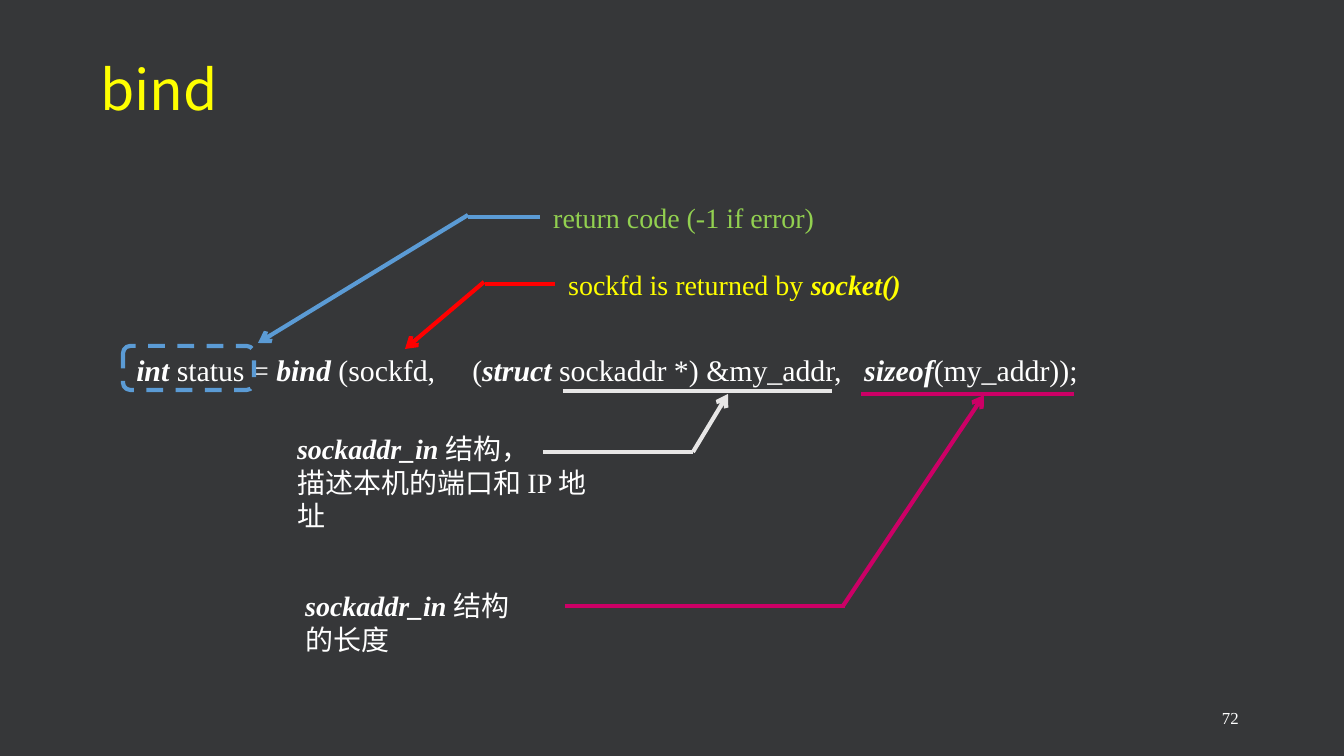
from collections import namedtuple

from pptx import Presentation
from pptx.dml.color import RGBColor
from pptx.enum.dml import MSO_LINE
from pptx.enum.shapes import MSO_CONNECTOR, MSO_SHAPE
from pptx.enum.text import MSO_ANCHOR, MSO_AUTO_SIZE, PP_ALIGN
from pptx.oxml.ns import qn
from pptx.util import Emu, Pt
from lxml import etree

LEFT, RIGHT = PP_ALIGN.LEFT, PP_ALIGN.RIGHT
MIDDLE, TOP = MSO_ANCHOR.MIDDLE, MSO_ANCHOR.TOP
FIT, FIXED = MSO_AUTO_SIZE.SHAPE_TO_FIT_TEXT, MSO_AUTO_SIZE.NONE
LEFT_SIDE = 1
PX = 914400 / 134.4

Theme = namedtuple("Theme", "background white yellow green blue red pink gray "
                   "title_size code_size note_size number_size line_width serif sans cjk")
theme = Theme("363739", "FFFFFF", "FFFF00", "92D050", "5B9BD5", "FF0000", "CC0066", "E7E6E6",
              29.7, 16, 15, 9, 2.25, "Times New Roman", "Arial", "Noto Sans CJK SC")


def write_text(shape, paragraphs, *, size, color=theme.white, font=theme.serif,
               align=LEFT, anchor=TOP, wrap=True, fit=FIT, spacing=1.0, tabs=()):
    """Fill a shape; a run is plain text or (text, "strong" | font name)."""
    frame = shape.text_frame
    frame.word_wrap, frame.auto_size, frame.vertical_anchor = wrap, fit, anchor
    for index, runs in enumerate(paragraphs):
        paragraph = frame.add_paragraph() if index else frame.paragraphs[0]
        paragraph.alignment, paragraph.line_spacing = align, spacing
        if tabs:
            stops = etree.SubElement(paragraph._p.get_or_add_pPr(), qn("a:tabLst"))
            for stop in tabs:
                etree.SubElement(stops, qn("a:tab"), pos=str(round(stop * PX)), algn="l")
        for item in runs:
            text, style = (item, None) if isinstance(item, str) else item
            run = paragraph.add_run()
            run.text = text
            run.font.size = Pt(size)
            run.font.color.rgb = RGBColor.from_string(color)
            run.font.bold = run.font.italic = style == "strong"
            run.font.name = font if style in (None, "strong") else style
            etree.SubElement(run._r.get_or_add_rPr(), qn("a:ea"), typeface=theme.cjk)


def px(*values):
    return [Emu(round(value * PX)) for value in values]


presentation = Presentation()
presentation.slide_width, presentation.slide_height = px(1344, 756)
layout = presentation.slide_layouts[5]
slide = presentation.slides.add_slide(layout)
slide.background.fill.solid()
slide.background.fill.fore_color.rgb = RGBColor.from_string(theme.background)

# The template is taller than the slide: drop its footers below the edge
for parent in (layout, layout.slide_master):
    for placeholder in list(parent.placeholders):
        if placeholder.top > presentation.slide_height:
            parent.shapes._spTree.remove(placeholder._element)

# Title
title = slide.shapes.title
title.left, title.top, title.width, title.height = px(87, 61, 882, 63)
write_text(title, [["bind"]], size=theme.title_size, color=theme.yellow, font=theme.cjk,
           anchor=MIDDLE, fit=FIXED, spacing=0.9)

# Code line, explanations and slide number
notes = [
    ("number", (950, 701, 302, 40), [["72"]],
     dict(size=theme.number_size, align=RIGHT, fit=FIXED)),
    ("code", (123, 345, 1011, 50),
     [[("int", "strong"), " status = ", ("bind", "strong"), " (sockfd,\t(", ("struct", "strong"),
       " sockaddr *) &my_addr,\t", ("sizeof", "strong"), "(my_addr));"]],
     dict(size=theme.code_size, tabs=(336, 728))),
    ("address", (284, 425, 340, 116),
     [[("sockaddr_in ", "strong"), ("结构，", theme.sans)],
      [("描述本机的端口和", theme.sans), " IP ", ("地址", theme.sans)]],
     dict(size=theme.note_size)),
    ("length", (292, 582, 250, 82),
     [[("sockaddr_in ", "strong"), ("结构的长度", theme.sans)]],
     dict(size=theme.note_size)),
    ("return code", (540, 194, 290, 46), [["return code (-1 if error)"]],
     dict(size=theme.note_size, color=theme.green, wrap=False)),
    ("sockfd", (555, 261, 363, 46), [["sockfd is returned by ", ("socket()", "strong")]],
     dict(size=theme.note_size, color=theme.yellow, wrap=False)),
]
boxes = {}
for name, place, paragraphs, style in notes:
    boxes[name] = slide.shapes.add_textbox(*px(*place))
    write_text(boxes[name], paragraphs, **style)

# Dashed frame around the returned status
status_frame = slide.shapes.add_shape(MSO_SHAPE.ROUNDED_RECTANGLE, *px(123, 346, 131, 44))
status_frame.shadow.inherit = False
status_frame.fill.background()
status_frame.line.color.rgb = RGBColor.from_string(theme.blue)
status_frame.line.width = Pt(theme.line_width)
status_frame.line.dash_style = MSO_LINE.DASH

# Underlines and leaders: color, start, end, arrowhead, box joined at the start
lines = [
    (theme.gray, (563, 391), (832, 391), False, None),
    (theme.gray, (543, 452), (693, 452), False, None),
    (theme.gray, (693, 452), (728, 394), True, None),
    (theme.pink, (861, 394), (1074, 394), False, None),
    (theme.pink, (565, 606), (845, 606), False, None),
    (theme.pink, (843, 606), (984, 395), True, None),
    (theme.blue, (540, 217), (468, 217), False, "return code"),
    (theme.blue, (468, 215), (258, 343), True, None),
    (theme.red, (555, 284), (485, 284), False, "sockfd"),
    (theme.red, (484, 282), (405, 349), True, None),
]
for color, start, end, arrow, joined in lines:
    connector = slide.shapes.add_connector(MSO_CONNECTOR.STRAIGHT, *px(*start, *end))
    if joined:
        connector.begin_connect(boxes[joined], LEFT_SIDE)
    connector.line.color.rgb = RGBColor.from_string(color)
    connector.line.width = Pt(theme.line_width)
    if arrow:
        etree.SubElement(connector.line._get_or_add_ln(), qn("a:tailEnd"), type="arrow")
    etree.SubElement(connector._element.spPr, qn("a:effectLst"))

presentation.save("out.pptx")
